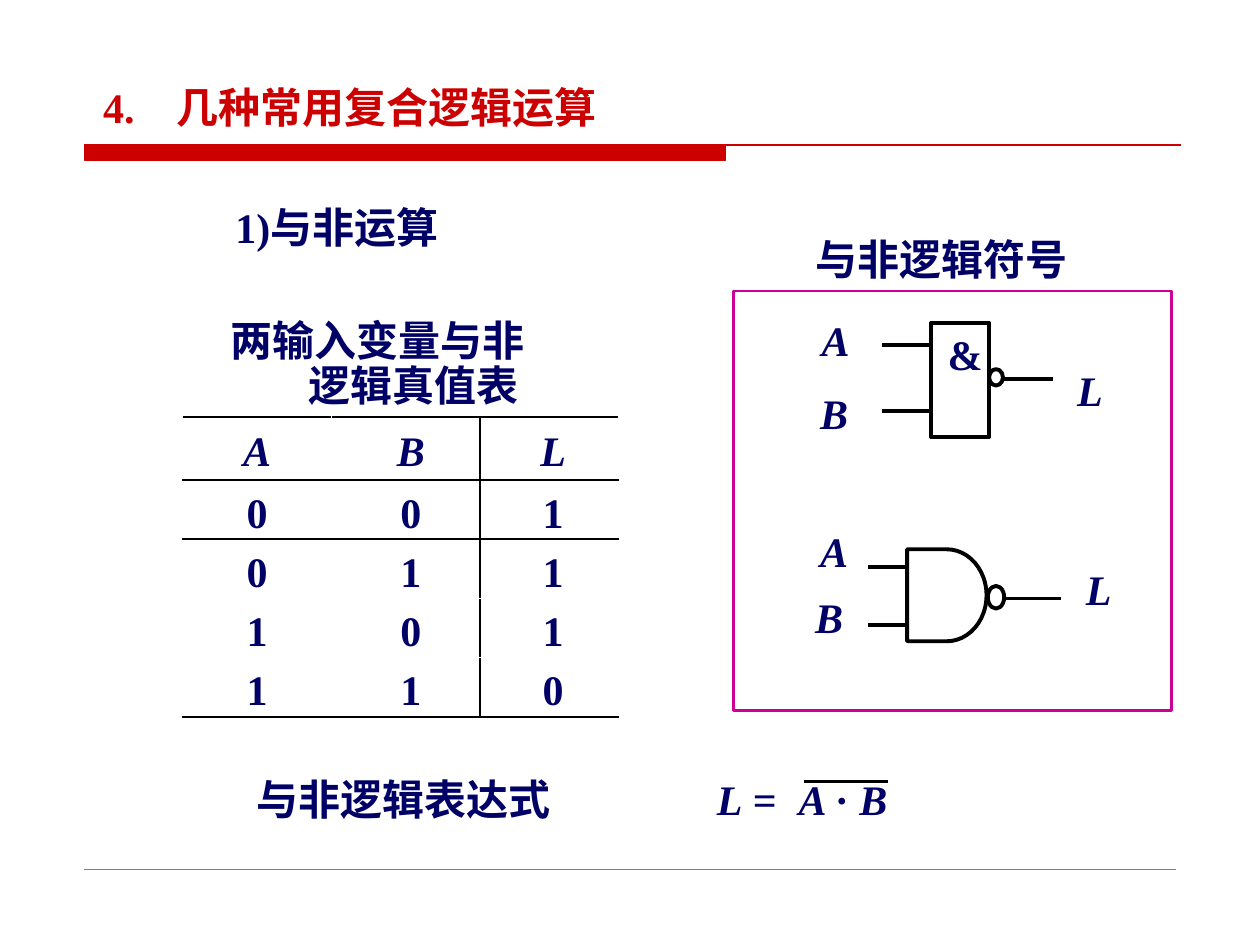
from lxml import etree
from pptx import Presentation, util as u
from pptx.dml.color import RGBColor
from pptx.enum import shapes, text
from pptx.oxml import ns

NAVY, RED, PINK, BLACK, GREY = "000066", "CC0000", "CC0099", "000000", "808080"
FONT = "Times New Roman"


def tint(code):
    return RGBColor.from_string(code)


def sub(node, tag, **attrs):
    return etree.SubElement(node, ns.qn(tag), attrs)


def write(par, words, color=NAVY, slant=False, align="LEFT", space=1.0):
    par.alignment = getattr(text.PP_ALIGN, align)
    par.line_spacing = space
    run = par.add_run()
    run.text = words
    font = run.font
    font.name, font.size, font.bold, font.italic = FONT, u.Pt(24), True, slant
    font.color.rgb = tint(color)


class Slide:
    """Holds the style and the current slide, with one method per element."""

    def __init__(self, deck):
        self.items = deck.slides.add_slide(deck.slide_layouts[6]).shapes

    def box(self, x, y, w, h, pad=0.0, wrap=True):
        frame = self.items.add_textbox(*map(u.Inches, (x, y, w, h))).text_frame
        frame.word_wrap = wrap
        frame.margin_left = frame.margin_right = u.Inches(pad)
        frame.margin_top = frame.margin_bottom = u.Inches(pad / 2)
        return frame.paragraphs[0]

    def label(self, words, x, y, w=0.22, slant=True):
        par = self.box(x, y, w, 0.36, wrap=False)
        write(par, words, slant=slant, align="CENTER", space=0.9)

    def indent(self, par, left, first):
        props = par._p.get_or_add_pPr()
        props.set("marL", str(u.Inches(left)))
        props.set("indent", str(u.Inches(first)))

    def tab(self, par, pos):
        stops = sub(par._p.get_or_add_pPr(), "a:tabLst")
        sub(stops, "a:tab", pos=str(u.Inches(pos)), algn="l")

    def line(self, x1, y1, x2, y2, width=1.5, color=BLACK):
        ends = map(u.Inches, (x1, y1, x2, y2))
        wire = self.items.add_connector(shapes.MSO_CONNECTOR.STRAIGHT, *ends)
        wire.line.width, wire.line.color.rgb = u.Pt(width), tint(color)
        sub(wire._element.spPr, "a:effectLst")

    def shape(self, kind, x, y, w, h, width=2.25, color=BLACK, fill=None):
        form = self.items.add_shape(getattr(shapes.MSO_SHAPE, kind),
                                    *map(u.Inches, (x, y, w, h)))
        form.shadow.inherit = False
        form.line.width, form.line.color.rgb = u.Pt(width), tint(color)
        if fill:
            form.fill.solid()
            form.fill.fore_color.rgb = tint(fill)
        else:
            form.fill.background()

    def edge(self, cell, sides):
        props = cell._tc.get_or_add_tcPr()
        for spot, side in enumerate(sides):
            rule = etree.Element(ns.qn("a:ln" + side), w=str(u.Pt(1.5)))
            sub(sub(rule, "a:solidFill"), "a:srgbClr", val=BLACK)
            props.insert(spot, rule)

    def table(self, rows, x, y, widths, heights, shifts):
        size = map(u.Inches, (x, y, sum(widths), sum(heights)))
        grid = self.items.add_table(len(rows), len(widths), *size).table
        grid.first_row = grid.horz_banding = False
        for col, width in zip(grid.columns, widths):
            col.width = u.Inches(width)
        last = len(rows) - 1
        for r, row in enumerate(rows):
            grid.rows[r].height = u.Inches(heights[r])
            for c, words in enumerate(row):
                cell = grid.cell(r, c)
                cell.fill.background()
                cell.margin_right = cell.margin_top = 0
                cell.margin_left = u.Inches(shifts[c])
                cell.margin_bottom = u.Inches(0.02 if r else 0.04)
                cell.vertical_anchor = text.MSO_ANCHOR.BOTTOM
                write(cell.text_frame.paragraphs[0], words, slant=r == 0,
                      align="CENTER", space=0.9)
                sides = ["", "R", "L"][c] + ("T" if r < 2 else "")
                self.edge(cell, sides + ("B" if r in (0, last) else ""))


def frame(page):
    page.shape("RECTANGLE", 0.67, 1.15, 5.09, 0.12, 0.75, RED, RED)
    page.line(0.67, 1.15, 9.37, 1.15, 0.75, RED)
    page.line(0.67, 6.9, 9.33, 6.9, 0.25, GREY)
    head = page.box(0.72, 0.6, 4.6, 0.5, 0.1)
    page.tab(head, 0.58)
    write(head, "4.\t几种常用复合逻辑运算", RED)
    write(page.box(1.77, 1.55, 2.17, 0.5, 0.1), "1)与非运算")


def truth(page):
    par = page.box(1.45, 2.54, 3.45, 0.72)
    page.indent(par, 1, -0.62)
    write(par, "两输入变量与非", space=0.9)
    par.add_line_break()
    write(par, "逻辑真值表", space=0.9)
    page.table(["ABL", "001", "011", "101", "110"], 1.45, 3.31,
               [1.18, 1.18, 1.1], [0.5] + [0.47] * 4, [0, 0.08, 0.06])


def gates(page):
    page.label("与非逻辑符号", 6.31, 1.9, 2.33, slant=False)
    page.shape("RECTANGLE", 5.82, 2.31, 3.48, 3.33, 1.5, PINK)
    page.shape("RECTANGLE", 7.39, 2.56, 0.46, 0.91)
    page.shape("FLOWCHART_DELAY", 7.2, 4.36, 0.63, 0.73)
    page.shape("OVAL", 7.85, 2.93, 0.11, 0.13)
    page.shape("OVAL", 7.84, 4.65, 0.13, 0.18)
    for x1, x2, y in [(7, 7.39, 2.74), (7, 7.39, 3.26), (7.96, 8.36, 3.01),
                      (6.89, 7.2, 4.5), (6.89, 7.2, 4.96), (7.97, 8.42, 4.75)]:
        page.line(x1, y, x2, y, 2.25)
    for words, x, y in [("A", 6.52, 2.54), ("B", 6.51, 3.12), ("L", 8.54, 2.94),
                        ("A", 6.51, 4.22), ("B", 6.47, 4.74), ("L", 8.61, 4.52)]:
        page.label(words, x, y)
    page.label("&", 7.52, 2.65, 0.28, slant=False)


def formula(page):
    write(page.box(1.94, 6.09, 2.6, 0.5, 0.1), "与非逻辑表达式")
    par = page.box(5.59, 6.09, 2.02, 0.5, 0.1)
    page.tab(par, 0.65)
    for words, slant in [("L", True), (" =\t", False), ("A ", True),
                         ("· ", False), ("B", True)]:
        write(par, words, slant=slant)
    page.line(6.38, 6.2, 7.05, 6.2)


def main():
    deck = Presentation()
    deck.slide_width, deck.slide_height = u.Inches(10), u.Inches(7.5)
    page = Slide(deck)
    for part in (frame, truth, gates, formula):
        part(page)
    deck.save("out.pptx")


if __name__ == "__main__":
    main()
